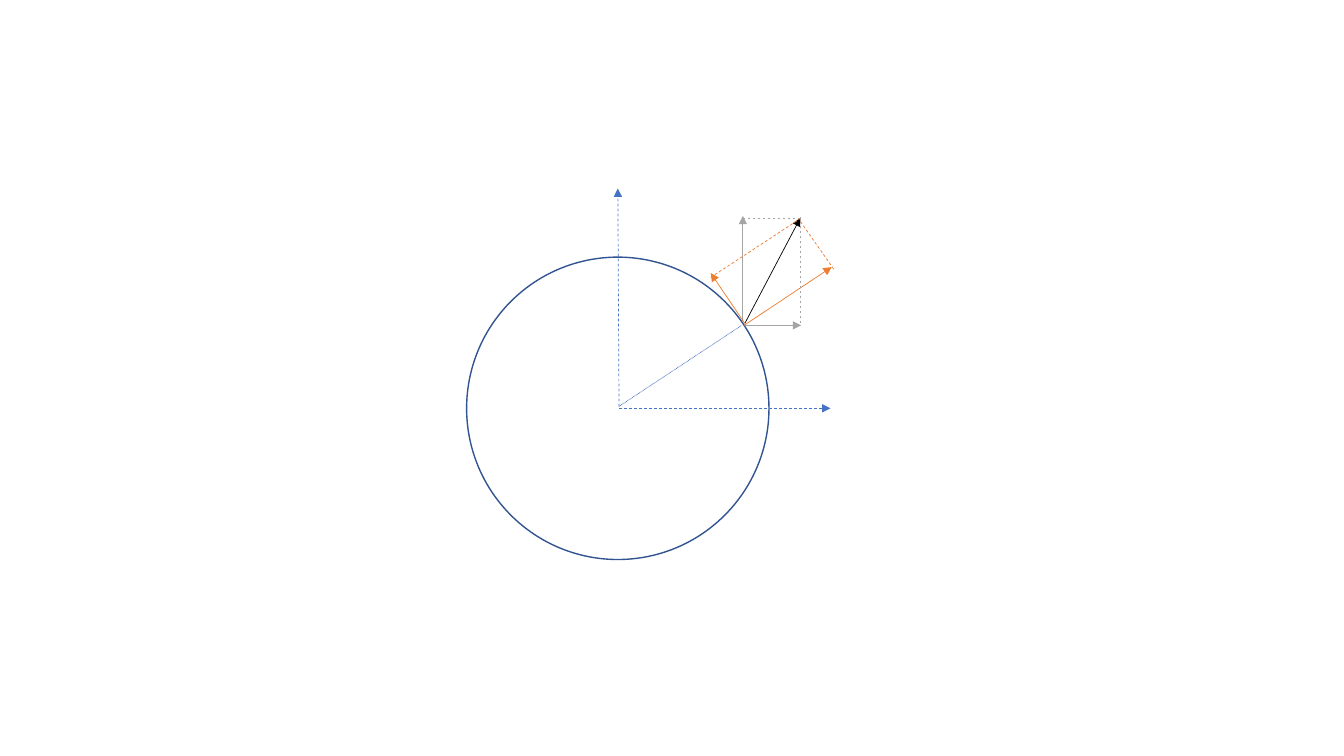
from pptx import Presentation
from pptx import util as u
from pptx.dml.color import RGBColor
from pptx.enum import dml, shapes
from pptx.oxml.ns import qn
from lxml import etree

BLUE, NAVY, GRAY, ORANGE, BLACK = "4472C4", "325491", "A5A5A5", "ED7D31", "000000"
DASH, DOT = dml.MSO_LINE.DASH, dml.MSO_LINE.ROUND_DOT


def colour(value):
    return RGBColor.from_string(value)


class Diagram:
    """Draws the lines and the circle of a vector diagram in one group."""

    line_width = u.Pt(0.5)
    circle_width = u.Pt(1)

    def __init__(self, page):
        self.group = page.shapes.add_group_shape()

    def circle(self, left, top, diameter, outline):
        shape = self.group.shapes.add_shape(
            shapes.MSO_SHAPE.OVAL, u.Cm(left), u.Cm(top), u.Cm(diameter), u.Cm(diameter))
        shape.shadow.inherit = False
        shape.fill.background()
        shape.line.color.rgb = colour(outline)
        shape.line.width = self.circle_width

    def line(self, start, end, stroke, dash=None):
        connector = self.group.shapes.add_connector(
            shapes.MSO_CONNECTOR.STRAIGHT, *map(u.Cm, start + end))
        connector.line.color.rgb = colour(stroke)
        connector.line.width = self.line_width
        if dash is not None:
            connector.line.dash_style = dash
        etree.SubElement(connector._element.spPr, qn("a:effectLst"))
        return connector

    def arrow(self, start, end, stroke, dash=None):
        connector = self.line(start, end, stroke, dash)
        outline = connector._element.spPr.find(qn("a:ln"))
        etree.SubElement(outline, qn("a:tailEnd"), type="triangle")


def main():
    deck = Presentation()
    deck.slide_width, deck.slide_height = u.Cm(33.87), u.Cm(19.05)
    page = deck.slides.add_slide(deck.slide_layouts[6])
    diagram = Diagram(page)

    centre = (15.6, 10.24)
    contact = (18.77, 8.15)

    diagram.arrow(contact, (20.17, 5.49), BLACK)
    diagram.circle(11.76, 6.48, 7.62, NAVY)

    diagram.arrow((15.6, 10.29), (20.93, 10.29), BLUE, DASH)
    diagram.arrow(centre, (15.57, 4.75), BLUE, DASH)

    diagram.arrow((18.77, 8.2), (20.19, 8.2), GRAY)
    diagram.arrow((18.72, 8.1), (18.72, 5.44), GRAY)
    diagram.arrow((18.75, 8.2), (20.96, 6.73), ORANGE)
    diagram.arrow(contact, (17.91, 6.88), ORANGE)

    diagram.line(centre, (18.69, 8.2), BLUE, DOT)
    diagram.line((20.17, 8.15), (20.17, 5.46), GRAY, DASH)
    diagram.line((20.17, 5.51), (18.69, 5.51), GRAY, DASH)
    diagram.line((17.91, 6.99), (20.12, 5.54), ORANGE, DASH)
    diagram.line((21.01, 6.78), (20.12, 5.51), ORANGE, DASH)

    deck.save("out.pptx")


if __name__ == "__main__":
    main()
